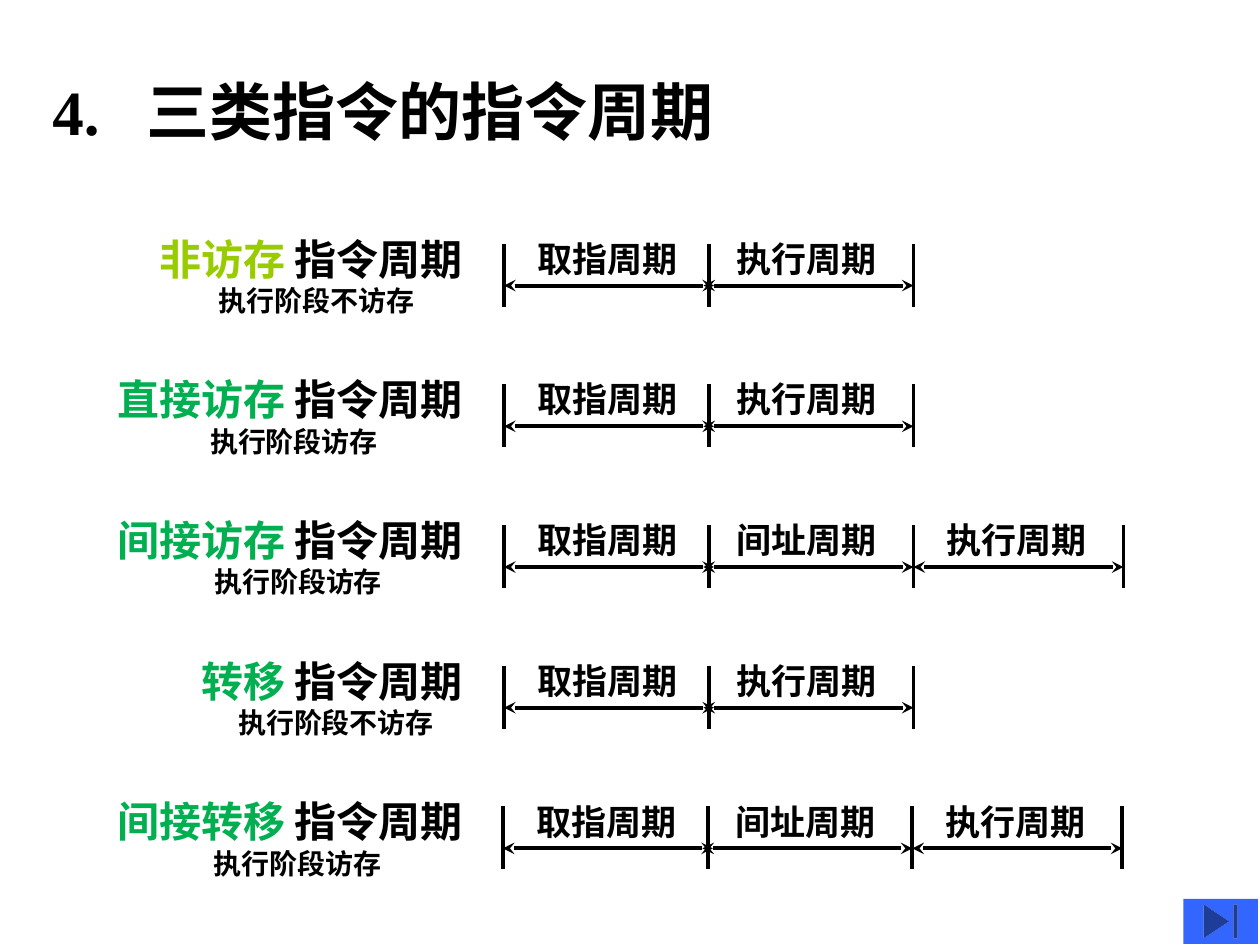
from dataclasses import dataclass

from lxml.etree import SubElement
from pptx import Presentation
from pptx.dml.color import RGBColor
from pptx.enum.shapes import MSO_CONNECTOR, MSO_SHAPE
from pptx.enum.text import MSO_ANCHOR, MSO_AUTO_SIZE, PP_ALIGN
from pptx.oxml.ns import qn
from pptx.util import Inches, Pt


@dataclass(frozen=True)
class Theme:
    font: str = "Times New Roman"
    ink: str = "000000"
    lime: str = "99CC00"
    green: str = "00B050"
    button: str = "3366FF"
    title_size: float = 36
    caption_size: float = 24
    label_size: float = 20
    note_size: float = 16
    line_width: float = 2.25


class CyclePage:
    """Draws on one slide; all lengths are units of a 120 by 90 grid."""

    columns, rows = 120, 90

    def __init__(self, deck, theme):
        self.deck = deck
        self.theme = theme
        self.page = deck.slides.add_slide(deck.slide_layouts[5])

    def x(self, column):
        return round(self.deck.slide_width * column / self.columns)

    def y(self, row):
        return round(self.deck.slide_height * row / self.rows)

    def frame(self, left, top, width, height):
        return self.x(left), self.y(top), self.x(width), self.y(height)

    def style(self, span, size, color):
        span.font.name = self.theme.font
        span.font.size = Pt(size)
        span.font.bold = True
        span.font.color.rgb = RGBColor.from_string(color)

    def title(self, number, text, place, tab_column):
        box = self.page.shapes.title
        box.left, box.top, box.width, box.height = self.frame(*place)
        frame = box.text_frame
        frame.margin_left = frame.margin_right = 0
        frame.vertical_anchor = MSO_ANCHOR.MIDDLE
        frame.auto_size = MSO_AUTO_SIZE.NONE
        frame.text = f"{number}\t{text}"
        para = frame.paragraphs[0]
        para.alignment = PP_ALIGN.LEFT
        tabs = SubElement(para._p.get_or_add_pPr(), qn("a:tabLst"))
        SubElement(tabs, qn("a:tab"), pos=str(self.x(tab_column)), algn="l")
        for span in para.runs:
            self.style(span, self.theme.title_size, self.theme.ink)

    def text_box(self, place, wrap):
        frame = self.page.shapes.add_textbox(*self.frame(*place)).text_frame
        frame.word_wrap = wrap
        frame.auto_size = MSO_AUTO_SIZE.SHAPE_TO_FIT_TEXT
        return frame

    def label(self, text, left, top):
        frame = self.text_box((left, top, 15.8, 5.2), wrap=False)
        frame.text = text
        self.style(frame.paragraphs[0].runs[0], self.theme.label_size, self.theme.ink)

    def caption(self, kind, color, note, place):
        """Coloured instruction kind, common suffix, and a centred note below."""
        frame = self.text_box(place, wrap=True)
        heading = frame.paragraphs[0]
        for text, tint in ((kind + " ", color), ("指令周期", self.theme.ink)):
            span = heading.add_run()
            span.text = text
            self.style(span, self.theme.caption_size, tint)
        para = frame.add_paragraph()
        para.text = note
        para.alignment = PP_ALIGN.CENTER
        self.style(para.runs[0], self.theme.note_size, self.theme.ink)

    def line(self, start, end, arrows=False):
        connector = self.page.shapes.add_connector(
            MSO_CONNECTOR.STRAIGHT,
            self.x(start[0]), self.y(start[1]), self.x(end[0]), self.y(end[1]))
        connector.line.width = Pt(self.theme.line_width)
        connector.line.color.rgb = RGBColor.from_string(self.theme.ink)
        if arrows:
            outline = connector.line._get_or_add_ln()
            for tag in ("a:headEnd", "a:tailEnd"):
                SubElement(outline, qn(tag), type="stealth")
        SubElement(connector._element.spPr, qn("a:effectLst"))

    def timeline(self, cycles, top, shift):
        """Tick marks around the cycles, with an arrow and a label for each."""
        ticks = (48, 67.5, 87, 107)
        spans = ((48, 68), (67, 87), (87, 107))
        label_lefts = (50, 69, 89)
        for column in ticks[:len(cycles) + 1]:
            self.line((column + shift, top), (column + shift, top + 6))
        for text, (start, end), left in zip(cycles, spans, label_lefts):
            self.line((start + shift, top + 4), (end + shift, top + 4), arrows=True)
            self.label(text, left + shift, top - 1.2)

    def end_button(self, place):
        button = self.page.shapes.add_shape(
            MSO_SHAPE.ACTION_BUTTON_END, *self.frame(*place))
        button.shadow.inherit = False
        button.fill.solid()
        button.fill.fore_color.rgb = RGBColor.from_string(self.theme.button)
        button.line.fill.background()


def main():
    deck = Presentation()
    deck.slide_width, deck.slide_height = Inches(10), Inches(7.5)
    theme = Theme()
    page = CyclePage(deck, theme)
    page.title("4.", "三类指令的指令周期", (5, 7, 66, 7), tab_column=9)

    direct = ("取指周期", "执行周期")
    indirect = ("取指周期", "间址周期", "执行周期")
    no_access, access = "执行阶段不访存", "执行阶段访存"
    # kind, colour, note, caption left, caption width, cycles, timeline shift
    instructions = (
        ("非访存", theme.lime, no_access, 14, 32.3, direct, 0),
        ("直接访存", theme.green, access, 10, 36, direct, 0),
        ("间接访存", theme.green, access, 10, 36.8, indirect, 0),
        ("转移", theme.green, no_access, 18, 28, direct, 0),
        ("间接转移", theme.green, access, 10, 36.7, indirect, -0.1),
    )
    first_row, row_pitch = 23.2, 13.4
    for index, (kind, color, note, left, width, cycles, shift) in enumerate(instructions):
        top = first_row + index * row_pitch
        page.timeline(cycles, top, shift)
        page.caption(kind, color, note, (left, top - 1.6, width, 9.2))

    page.end_button((112.7, 85.6, 7.1, 4.3))
    deck.save("out.pptx")


if __name__ == "__main__":
    main()
